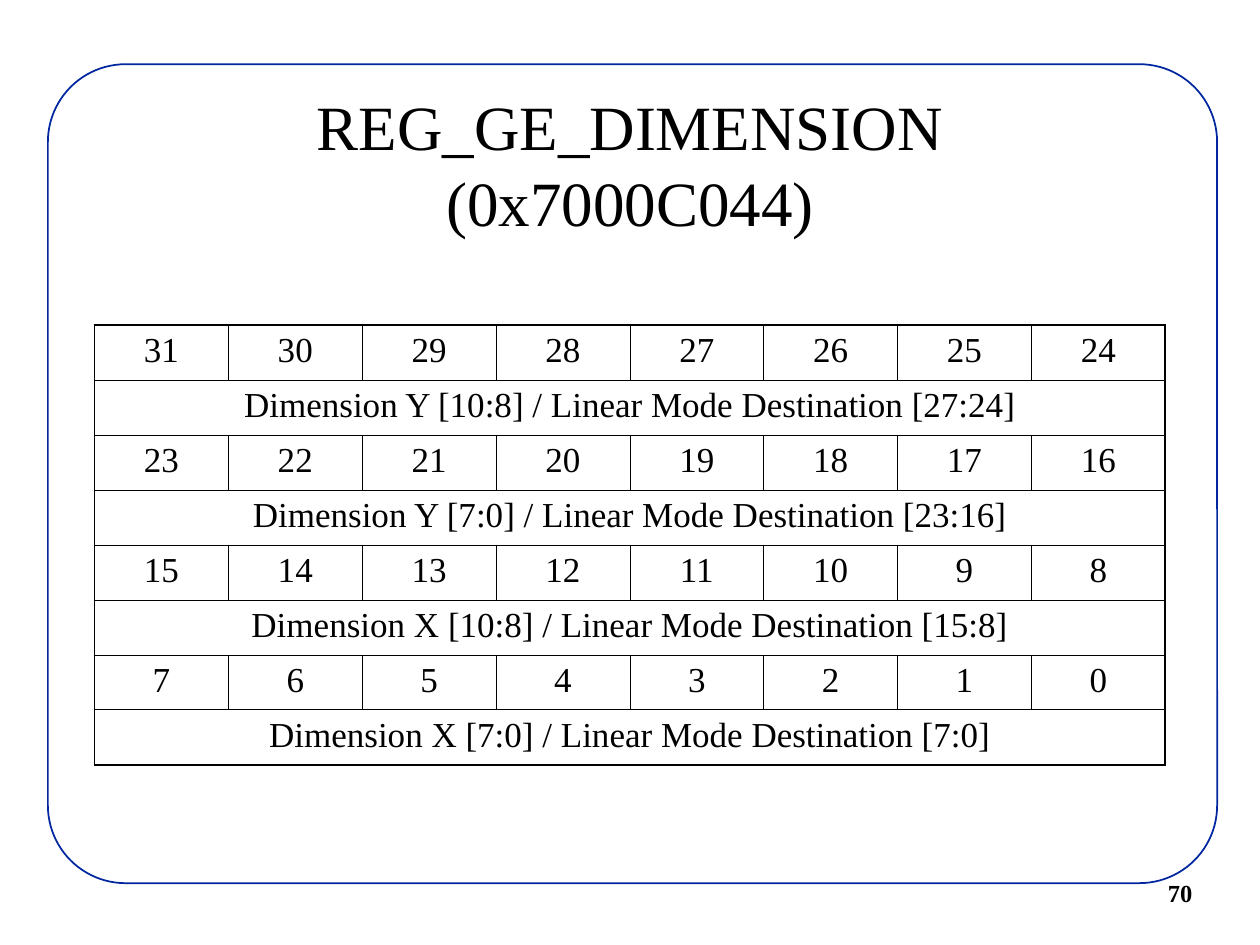
from dataclasses import dataclass

from lxml import etree
from pptx import Presentation
from pptx.dml.color import RGBColor
from pptx.enum.shapes import MSO_SHAPE
from pptx.enum.text import MSO_ANCHOR, MSO_AUTO_SIZE, PP_ALIGN
from pptx.oxml.ns import qn
from pptx.util import Inches, Pt

ROUND_RECT = MSO_SHAPE.ROUNDED_RECTANGLE
CENTER, MIDDLE = PP_ALIGN.CENTER, MSO_ANCHOR.MIDDLE
NO_AUTOFIT = MSO_AUTO_SIZE.NONE

COLORS = {"text": "000000", "frame": "00279F", "paper": "FFFFFF"}
FONT = "Times New Roman"
WIDTH, HEIGHT = Inches(10), Inches(7.5)
BITS = 8
OUTER, INNER = Pt(1.08), Pt(0.45)
TITLE_ONLY = 5


@dataclass
class RegisterByte:
    high_bit: int
    field: str


REGISTER = [
    RegisterByte(31, "Dimension Y [10:8] / Linear Mode Destination [27:24]"),
    RegisterByte(23, "Dimension Y [7:0] / Linear Mode Destination [23:16]"),
    RegisterByte(15, "Dimension X [10:8] / Linear Mode Destination [15:8]"),
    RegisterByte(7, "Dimension X [7:0] / Linear Mode Destination [7:0]"),
]


def rgb(name: str) -> RGBColor:
    return RGBColor.from_string(COLORS[name])


def format_font(font, **values) -> None:
    for key, value in {"name": FONT, **values}.items():
        setattr(font, key, value)
    font.color.rgb = rgb("text")


def add_frame(slide):
    sp = slide.shapes.add_shape(
        ROUND_RECT, Inches(0.38), Inches(0.51), Inches(9.28), Inches(6.5))
    sp.adjustments[0] = 0.095
    sp.shadow.inherit = False
    sp.fill.solid()
    sp.fill.fore_color.rgb = rgb("paper")
    sp.line.color.rgb = rgb("frame")
    sp.line.width = Pt(1)
    return sp


def fill_title(title, lines: list[str]) -> None:
    box = {"left": 0.75, "top": 0.67, "width": 8.5, "height": 1.25}
    for key, value in box.items():
        setattr(title, key, Inches(value))
    tf = title.text_frame
    tf.text = "\v".join(lines)
    tf.auto_size, tf.vertical_anchor, tf.word_wrap = NO_AUTOFIT, MIDDLE, True
    p = tf.paragraphs[0]
    p.alignment = CENTER
    for r in p.runs:
        format_font(r.font, size=Pt(36))


def set_borders(cell, widths: dict[str, int]) -> None:
    tcPr = cell._tc.get_or_add_tcPr()
    for side, width in widths.items():
        ln = etree.SubElement(tcPr, qn(f"a:ln{side}"), w=str(int(width)))
        fill = etree.SubElement(ln, qn("a:solidFill"))
        etree.SubElement(fill, qn("a:srgbClr"), val=COLORS["text"])


def write_cell(cell, text: str) -> None:
    p = cell.text_frame.paragraphs[0]
    p.alignment = CENTER
    r = p.add_run()
    r.text = text
    format_font(r.font, size=Pt(20))


def add_register_table(slide, register: list[RegisterByte]) -> None:
    rows = 2 * len(register)
    table = slide.shapes.add_table(
        rows, BITS, Inches(0.75), Inches(2.58), Inches(8.5), Inches(3.49)).table
    table.first_row = table.horz_banding = False
    for row in range(rows):
        for col in range(BITS):
            cell = table.cell(row, col)
            set_borders(cell, {
                "L": INNER if col else OUTER,
                "R": OUTER if col == BITS - 1 else INNER,
                "T": INNER if row else OUTER,
                "B": OUTER if row == rows - 1 else INNER,
            })
            cell.fill.background()
    for i, byte in enumerate(register):
        for col in range(BITS):
            write_cell(table.cell(2 * i, col), str(byte.high_bit - col))
        field = table.cell(2 * i + 1, 0)
        field.merge(table.cell(2 * i + 1, BITS - 1))
        set_right = field._tc.tcPr.find(qn("a:lnR"))
        set_right.set("w", str(int(OUTER)))
        write_cell(field, byte.field)


def add_page_number(slide, number: int) -> None:
    sp = slide.shapes.add_textbox(
        Inches(9.17), Inches(6.92), Inches(1.08), Inches(0.33))
    tf = sp.text_frame
    tf.word_wrap = False
    r = tf.paragraphs[0].add_run()
    r.text = str(number)
    format_font(r.font, size=Pt(14), bold=True)


def main() -> None:
    prs = Presentation()
    prs.slide_width, prs.slide_height = WIDTH, HEIGHT
    slide = prs.slides.add_slide(prs.slide_layouts[TITLE_ONLY])
    title = slide.shapes.title
    frame = add_frame(slide)
    title.element.addprevious(frame.element)
    add_page_number(slide, 70)
    fill_title(title, ["REG_GE_DIMENSION", "(0x7000C044)"])
    add_register_table(slide, REGISTER)
    prs.save("out.pptx")


if __name__ == "__main__":
    main()
